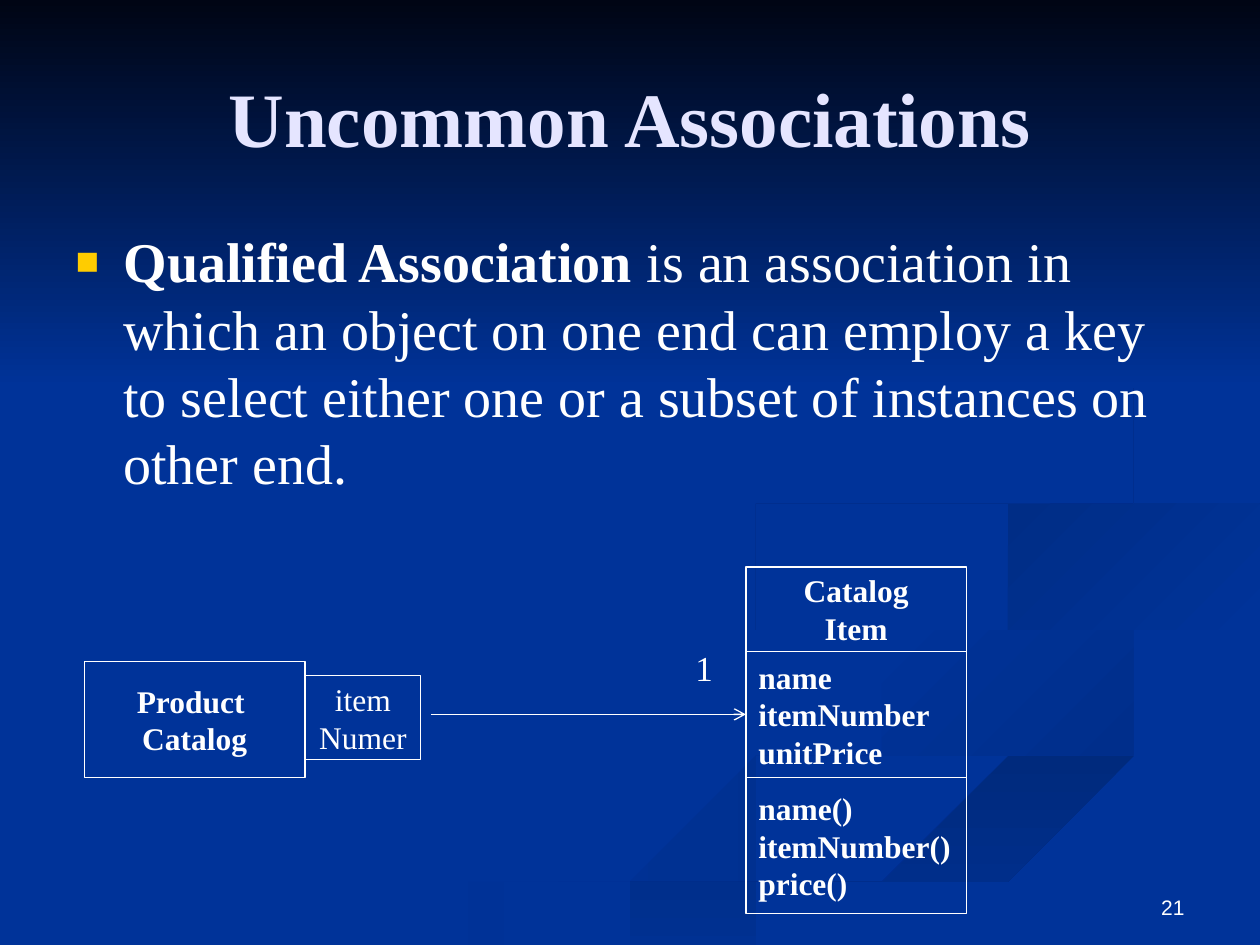
"""Build the slide on qualified associations with its class diagram."""
from typing import NamedTuple

from lxml.etree import SubElement
from pptx import Presentation
from pptx.dml.color import RGBColor
from pptx.enum.shapes import MSO_CONNECTOR, MSO_SHAPE
from pptx.enum.text import MSO_ANCHOR, PP_ALIGN
from pptx.oxml.ns import qn
from pptx.util import Inches, Pt

WHITE, LILAC, GOLD, BLUE = "FFFFFF", "E5E5FF", "FFCC00", "003399"
SERIF, SANS = "Times New Roman", "Arial"
WIDTH, HEIGHT = 10, 7.5
CURVE_STEPS = 6


class Ribbon(NamedTuple):
    start_color: str
    end_color: str
    angle: int
    outline: list


class Compartment(NamedTuple):
    left: float
    top: float
    width: float
    height: float
    text: str
    align: PP_ALIGN = PP_ALIGN.LEFT
    bold: bool = True


RIBBONS = [
    Ribbon(BLUE, "002E8B", 0, [
        (7.8, 5.5), (6.6, 5.1), (5.75, 4.6), (5.9, 4.9), (7.1, 5.3), (7.85, 5.7),
        (6.5, 6.2), (3, 7.5), (3.6, 7.5), (6.2, 6.5), (8, 5.8)]),
    Ribbon(BLUE, "002E8B", 45, [
        (9.4, 5.65), (8.5, 5.25), (7.25, 4.65), (7.8, 5.2), (8.8, 5.5), (9.15, 5.8),
        (8.95, 6.05), (9.4, 5.8)]),
    Ribbon("002A7D", BLUE, 90, [
        (5.05, 7.5), (5.7, 7.5), (7.2, 6.8), (9.95, 6.1), (9.95, 5.82), (7.7, 6.45)]),
    Ribbon(BLUE, BLUE, 0, [
        (7.25, 4.65), (8.3, 5.2), (9.4, 5.7), (8.1, 6.25), (4.8, 7.5), (5.2, 7.5),
        (7.6, 6.5), (9.95, 5.8), (9.95, 5.4), (8.3, 5), (7.8, 4.6), (8.6, 4.25),
        (9.95, 4), (9.95, 3.9), (7.9, 4.2)]),
    Ribbon("002D86", BLUE, 45, [
        (7.8, 4.6), (8.25, 4.95), (8.05, 4.7), (8.8, 4.4), (9.95, 4.2), (9.95, 4.05),
        (8.5, 4.25)]),
    Ribbon("002B82", BLUE, 45, [
        (6.8, 4.3), (8.4, 3.95), (8.95, 3.4), (8.5, 2.8), (7.6, 2.35), (8.6, 2.9),
        (8.9, 3.35), (8.2, 3.85), (6.3, 4.25), (5.75, 4.6), (6.2, 5), (5.95, 4.65)]),
]
COMPARTMENTS = [
    Compartment(0.67, 5.25, 1.75, 0.92, "Product \nCatalog", PP_ALIGN.CENTER),
    Compartment(5.92, 4.5, 1.75, 0.67, "Catalog\nItem", PP_ALIGN.CENTER),
    Compartment(5.92, 5.17, 1.75, 1, "name\nitemNumber\nunitPrice"),
    Compartment(5.92, 6.17, 1.75, 1.08, "name()\nitemNumber()\nprice()"),
    Compartment(2.42, 5.36, 0.92, 0.67, "item\nNumer", PP_ALIGN.CENTER, False),
]


def rgb(color: str) -> RGBColor:
    return RGBColor.from_string(color)


def place(shape, left: float, top: float, width: float, height: float) -> None:
    shape.left, shape.top = Inches(left), Inches(top)
    shape.width, shape.height = Inches(width), Inches(height)


def style_run(run, size: float, color: str = WHITE, bold: bool = False, face: str = SERIF) -> None:
    run.font.size, run.font.bold, run.font.name = Pt(size), bold, face
    run.font.color.rgb = rgb(color)


def style_frame(frame, size: float, align: PP_ALIGN, **looks) -> None:
    for paragraph in frame.paragraphs:
        paragraph.alignment = align
        for run in paragraph.runs:
            style_run(run, size, **looks)


def shade(shape, start_color: str, end_color: str, angle: int) -> None:
    shape.shadow.inherit = False
    shape.line.fill.background()
    shape.fill.gradient()
    shape.fill.gradient_angle = (360 - angle) % 360
    for stop, color in zip(shape.fill.gradient_stops, (start_color, end_color)):
        stop.color.rgb = rgb(color)


def blend(before: float, start: float, end: float, after: float, t: float) -> float:
    slope = end - before
    bend = 2 * before - 5 * start + 4 * end - after
    twist = 3 * (start - end) + after - before
    return start + t * (slope + t * (bend + t * twist)) / 2


def smooth_outline(points: list) -> list:
    curve = []
    for i in range(len(points)):
        corners = [points[(i + k) % len(points)] for k in (-1, 0, 1, 2)]
        xs, ys = zip(*corners)
        for step in range(CURVE_STEPS):
            t = step / CURVE_STEPS
            curve.append((min(blend(*xs, t), WIDTH), min(blend(*ys, t), HEIGHT)))
    return curve


def draw_ribbon(slide, ribbon: Ribbon) -> None:
    start, *rest = smooth_outline(ribbon.outline)
    builder = slide.shapes.build_freeform(*start, scale=Inches(1))
    builder.add_line_segments(rest, close=True)
    shade(builder.convert_to_shape(), ribbon.start_color, ribbon.end_color, ribbon.angle)


def draw_compartment(slide, part: Compartment) -> None:
    box = slide.shapes.add_shape(MSO_SHAPE.RECTANGLE, *map(Inches, part[:4]))
    box.shadow.inherit = False
    box.fill.background()
    box.line.color.rgb, box.line.width = rgb(WHITE), Pt(0.75)
    frame = box.text_frame
    frame.word_wrap, frame.vertical_anchor = False, MSO_ANCHOR.MIDDLE
    frame.text = part.text
    style_frame(frame, 18, part.align, bold=part.bold)


def draw_arrow(slide, left: float, right: float, y: float) -> None:
    arrow = slide.shapes.add_connector(
        MSO_CONNECTOR.STRAIGHT, Inches(left), Inches(y), Inches(right), Inches(y))
    arrow.line.color.rgb, arrow.line.width = rgb(WHITE), Pt(0.75)
    SubElement(arrow.line._get_or_add_ln(), qn("a:tailEnd"), type="arrow")
    SubElement(arrow._element.spPr, qn("a:effectLst"))


def draw_label(slide, text: str, bounds: tuple, size: float, align: PP_ALIGN,
               anchor: MSO_ANCHOR, face: str = SERIF) -> None:
    frame = slide.shapes.add_textbox(*map(Inches, bounds)).text_frame
    frame.word_wrap, frame.vertical_anchor = True, anchor
    frame.text = text
    style_frame(frame, size, align, face=face)


def write_definition(body) -> None:
    place(body, 0.5, 1.75, 9, 2.25)
    definition = body.text_frame.paragraphs[0]
    term, meaning = definition.add_run(), definition.add_run()
    term.text = "Qualified Association"
    meaning.text = (" is an association in which an object on one end can employ a key "
                    "to select either one or a subset of instances on other end.")
    style_run(term, 32, bold=True)
    style_run(meaning, 32)
    layout = definition._p.get_or_add_pPr()
    layout.set("marL", str(Inches(0.38)))
    layout.set("indent", str(Inches(-0.38)))
    SubElement(SubElement(layout, qn("a:buClr")), qn("a:srgbClr"), val=GOLD)
    SubElement(layout, qn("a:buSzPct"), val="70000")
    SubElement(layout, qn("a:buFont"), typeface=SANS)
    SubElement(layout, qn("a:buChar"), char="■")
    definition.space_before = Pt(8)


def main() -> None:
    deck = Presentation()
    deck.slide_width, deck.slide_height = Inches(WIDTH), Inches(HEIGHT)
    slide = deck.slides.add_slide(deck.slide_layouts[1])
    slide.background.fill.solid()
    slide.background.fill.fore_color.rgb = rgb(BLUE)
    title, body = slide.placeholders
    for ribbon in RIBBONS:
        draw_ribbon(slide, ribbon)
    sky = slide.shapes.add_shape(MSO_SHAPE.RECTANGLE, 0, 0, Inches(WIDTH), Inches(3.08))
    shade(sky, "000514", BLUE, 90)
    for placeholder in (title, body):
        slide.shapes._spTree.append(placeholder._element)

    place(title, 0.5, 0.3, 9, 1.25)
    title.text_frame.text = "Uncommon Associations"
    title.text_frame.vertical_anchor = MSO_ANCHOR.MIDDLE
    style_frame(title.text_frame, 44, PP_ALIGN.CENTER, color=LILAC, bold=True)
    write_definition(body)
    for part in COMPARTMENTS:
        draw_compartment(slide, part)
    draw_arrow(slide, 3.42, 5.92, 5.67)
    draw_label(slide, "1", (5.42, 5.08, 0.25, 0.44), 20, PP_ALIGN.LEFT, MSO_ANCHOR.TOP)
    draw_label(slide, "21", (7.17, 6.83, 2.33, 0.52), 12, PP_ALIGN.RIGHT,
               MSO_ANCHOR.BOTTOM, SANS)
    deck.save("out.pptx")


if __name__ == "__main__":
    main()
